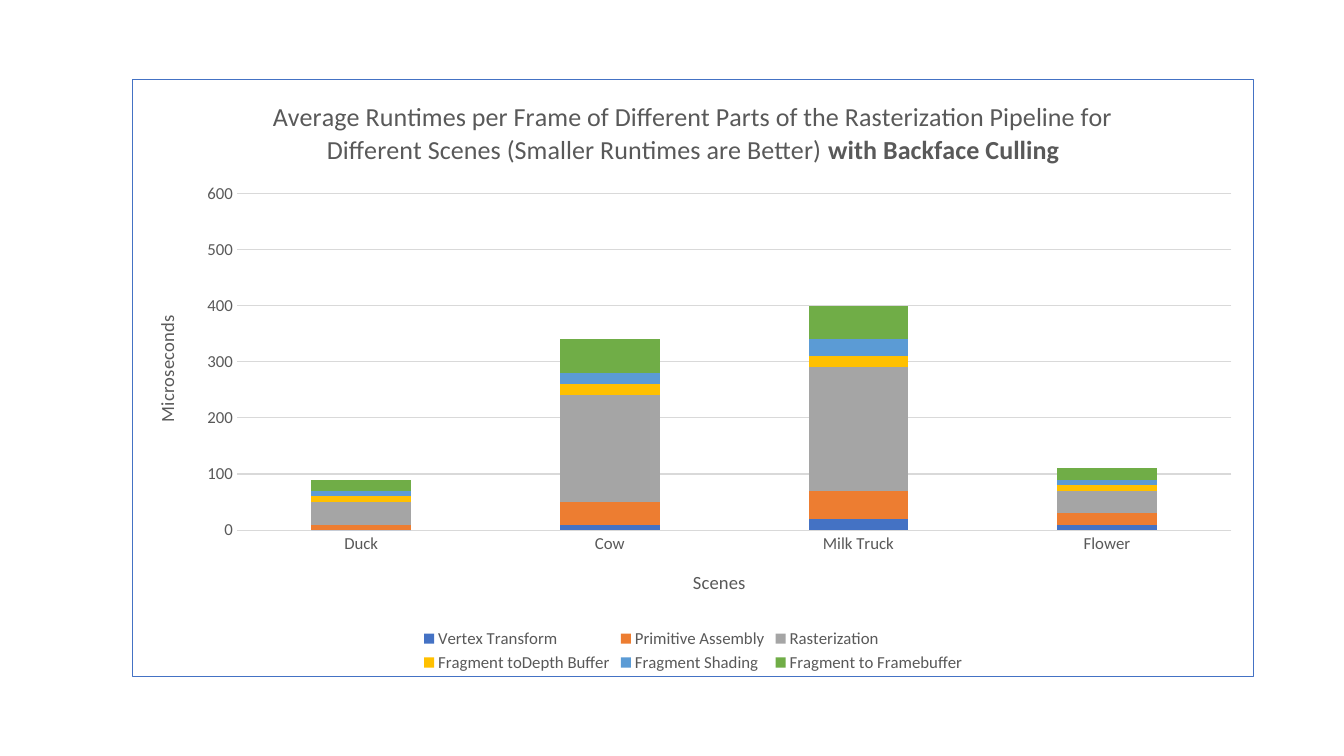
from lxml.etree import fromstring as to_xml
from pptx import Presentation
from pptx.chart.data import CategoryChartData as Data
from pptx.dml.color import RGBColor as Rgb
from pptx.enum.chart import XL_CHART_TYPE as Kind, XL_LEGEND_POSITION as Side, XL_TICK_MARK as Tick
from pptx.oxml.ns import nsdecls
from pptx.util import Cm, Pt

FONT = "Calibri"
COLORS = {
    "text": "595959", "grid": "D9D9D9", "border": "4472C4",
    "Vertex Transform": "4472C4", "Primitive Assembly": "ED7D31",
    "Rasterization": "A5A5A5", "Fragment toDepth Buffer": "FFC000",
    "Fragment Shading": "5B9BD5", "Fragment to Framebuffer": "70AD47",
}
TIMES = {
    "Vertex Transform": (0, 10, 20, 10),
    "Primitive Assembly": (10, 40, 50, 20),
    "Rasterization": (40, 190, 220, 40),
    "Fragment toDepth Buffer": (10, 20, 20, 10),
    "Fragment Shading": (10, 20, 30, 10),
    "Fragment to Framebuffer": (20, 60, 60, 20),
}


def style(font, size, bold=False):
    font.name, font.size, font.bold = FONT, Pt(size), bold
    font.color.rgb = Rgb.from_string(COLORS["text"])


def write(text, frame, size=13.3, bold=False):
    run = frame.paragraphs[0].add_run()
    run.text = text
    style(run.font, size, bold)


deck = Presentation()
deck.slide_width, deck.slide_height = Cm(33.87), Cm(19.05)
slide = deck.slides.add_slide(deck.slide_layouts[6])

data = Data()
data.categories = ["Duck", "Cow", "Milk Truck", "Flower"]
for name, times in TIMES.items():
    data.add_series(name, times)
chart = slide.shapes.add_chart(
    Kind.COLUMN_STACKED, Cm(3.33), Cm(1.99), Cm(28.28), Cm(15.07), data).chart
style(chart.font, 12)

title = chart.chart_title.text_frame
write("Average Runtimes per Frame of Different Parts of the Rasterization Pipeline "
      "for Different Scenes (Smaller Runtimes are Better) ", title, size=18.6)
write("with Backface Culling", title, size=18.6, bold=True)
chart.chart_title.include_in_layout = False

plot = chart.plots[0]
plot.gap_width, plot.overlap, plot.vary_by_categories = 150, 100, False
for part in plot.series:
    part.format.fill.solid()
    part.format.fill.fore_color.rgb = Rgb.from_string(COLORS[part.name])

across, up = chart.category_axis, chart.value_axis
for axis, label in ((across, "Scenes"), (up, "Microseconds")):
    write(label, axis.axis_title.text_frame)
    axis.major_tick_mark = axis.minor_tick_mark = Tick.NONE
    style(axis.tick_labels.font, 12)
up.axis_title.text_frame._txBody.bodyPr.set("rot", "-5400000")
up.minimum_scale, up.maximum_scale, up.major_unit = 0, 600, 100
up.format.line.fill.background()
for line in (across.format.line, up.major_gridlines.format.line):
    line.width = Pt(0.75)
    line.color.rgb = Rgb.from_string(COLORS["grid"])

chart.has_legend = True
chart.legend.position = Side.BOTTOM
chart.legend.include_in_layout = False
style(chart.legend.font, 12)

area = chart._chartSpace.chart.plotArea
for old in area.findall("{*}layout"):
    area.remove(old)
spots = "".join(f'<c:{tag} val="{val}"/>' for tag, val in (
    ("layoutTarget", "inner"), ("xMode", "edge"), ("yMode", "edge"),
    ("x", 0.093), ("y", 0.191), ("w", 0.887), ("h", 0.564)))
area.insert(0, to_xml(
    f'<c:layout {nsdecls("c")}><c:manualLayout>{spots}</c:manualLayout></c:layout>'))
chart._chartSpace.chart.addnext(to_xml(
    f'<c:spPr {nsdecls("c", "a")}><a:noFill/><a:ln w="{Pt(0.75)}"><a:solidFill>'
    f'<a:srgbClr val="{COLORS["border"]}"/></a:solidFill></a:ln></c:spPr>'))

deck.save("out.pptx")
